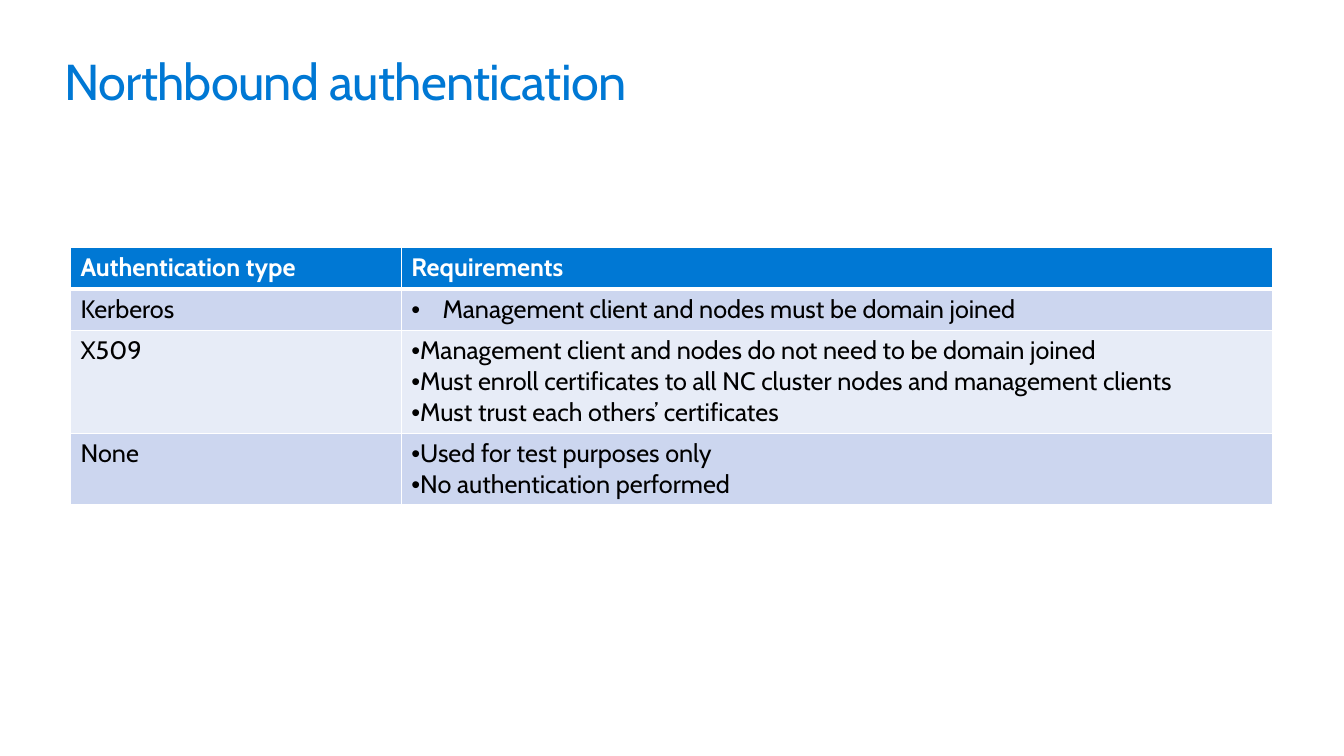
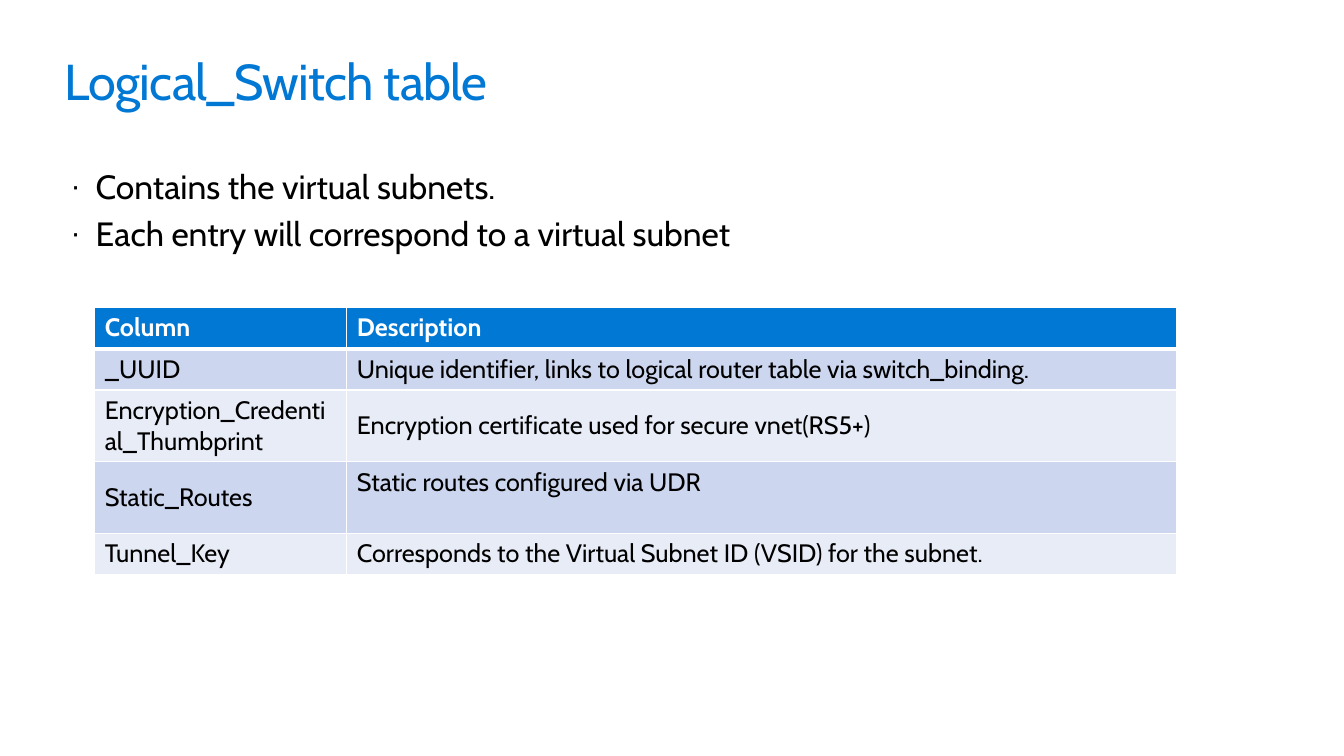
from lxml import etree
from pptx import Presentation
from pptx.dml.color import RGBColor
from pptx.enum.text import MSO_ANCHOR
from pptx.oxml.ns import qn
from pptx.util import Inches, Pt

TOP = MSO_ANCHOR.TOP
MIDDLE = MSO_ANCHOR.MIDDLE

FONT = "Cabin"
BLUE = "0078D4"
WHITE = "FFFFFF"
BLACK = "000000"
BANDS = ("CCD6EF", "E7ECF7")


def rgb(value):
    return RGBColor.from_string(value)


def format_runs(p, size, color, bold=False):
    for r in p.runs:
        r.font.name = FONT
        r.font.size = Pt(size)
        r.font.bold = bold
        r.font.color.rgb = rgb(color)


def add_bullet(p, char, indent, size_pct=100):
    pPr = p._p.get_or_add_pPr()
    pPr.set("marL", str(Inches(indent)))
    pPr.set("indent", str(-Inches(indent)))
    etree.SubElement(pPr, qn("a:buSzPct"), val=str(size_pct * 1000))
    etree.SubElement(pPr, qn("a:buFont"), typeface="Arial")
    etree.SubElement(pPr, qn("a:buChar"), char=char)


def add_text_frame(s, left, top, width, height):
    tf = s.shapes.add_textbox(Inches(left), Inches(top), Inches(width), Inches(height)).text_frame
    tf.word_wrap = True
    tf.margin_left = tf.margin_top = tf.margin_right = tf.margin_bottom = 0
    return tf


def add_title_slide(prs, title):
    s = prs.slides.add_slide(prs.slide_layouts[6])
    tf = add_text_frame(s, 0.64, 0.5, 12.05, 0.61)
    tf.text = title
    p = tf.paragraphs[0]
    format_runs(p, 36, BLUE)
    p.runs[0]._r.get_or_add_rPr().set("spc", "-50")
    return s


def add_body(s, lines):
    tf = add_text_frame(s, 0.7, 1.65, 10.73, 0.89)
    tf.text = "\n".join(lines)
    for i, p in enumerate(tf.paragraphs):
        add_bullet(p, "·", 0.25, 90)
        if i:
            p.space_before = Pt(4.8)
        format_runs(p, 24, BLACK)


def set_borders(cell, bottom):
    tcPr = cell._tc.get_or_add_tcPr()
    for side, width in (("L", 1), ("R", 1), ("T", 1), ("B", bottom)):
        ln = etree.SubElement(tcPr, qn("a:ln" + side), w=str(Pt(width)))
        fill = etree.SubElement(ln, qn("a:solidFill"))
        etree.SubElement(fill, qn("a:srgbClr"), val=WHITE)


def fill_cell(cell, text, row, anchor):
    header = row == 0
    set_borders(cell, 3 if header else 1)
    cell.fill.solid()
    cell.fill.fore_color.rgb = rgb(BLUE if header else BANDS[(row - 1) % 2])
    cell.vertical_anchor = TOP if header else anchor
    cell.text_frame.text = text
    for p in cell.text_frame.paragraphs:
        format_runs(p, 18, WHITE if header else BLACK, header)


def add_data_table(s, left, top, widths, heights, rows, anchor=TOP):
    table = s.shapes.add_table(
        len(rows), len(widths), Inches(left), Inches(top),
        Inches(sum(widths)), Inches(sum(heights))).table
    for column, width in zip(table.columns, widths):
        column.width = Inches(width)
    for i, (height, texts) in enumerate(zip(heights, rows)):
        table.rows[i].height = Inches(height)
        for j, text in enumerate(texts):
            fill_cell(table.cell(i, j), text, i, anchor)
    return table


def add_authentication_slide(prs):
    s = add_title_slide(prs, "Northbound authentication")
    rows = [
        ("Authentication type", "Requirements"),
        ("Kerberos", "Management client and nodes must be domain joined"),
        ("X509", "Management client and nodes do not need to be domain joined\n"
                 "Must enroll certificates to all NC cluster nodes and management clients\n"
                 "Must trust each others’ certificates"),
        ("None", "Used for test purposes only\nNo authentication performed"),
    ]
    table = add_data_table(s, 0.7, 2.45, (3.28, 8.64), (0.42, 0.41, 1.02, 0.71), rows)
    for i in range(1, len(rows)):
        for p in table.cell(i, 1).text_frame.paragraphs:
            add_bullet(p, "•", 0.31 if i == 1 else 0)


def add_switch_slide(prs):
    s = add_title_slide(prs, "Logical_Switch table")
    add_body(s, ["Contains the virtual subnets.",
                 "Each entry will correspond to a virtual subnet"])
    rows = [
        ("Column", "Description"),
        ("_UUID", "Unique identifier, links to logical router table via switch_binding."),
        ("Encryption_Credential_Thumbprint", "Encryption certificate used for secure vnet(RS5+)"),
        ("Static_Routes", "Static routes configured via UDR"),
        ("Tunnel_Key", "Corresponds to the Virtual Subnet ID (VSID) for the subnet."),
    ]
    table = add_data_table(s, 0.94, 3.05, (2.5, 8.23), (0.41, 0.41, 0.71, 0.71, 0.41), rows, MIDDLE)
    table.cell(3, 1).vertical_anchor = TOP


def main():
    prs = Presentation()
    prs.slide_width = Inches(13.33)
    prs.slide_height = Inches(7.5)
    add_authentication_slide(prs)
    add_switch_slide(prs)
    prs.save("out.pptx")


if __name__ == "__main__":
    main()
